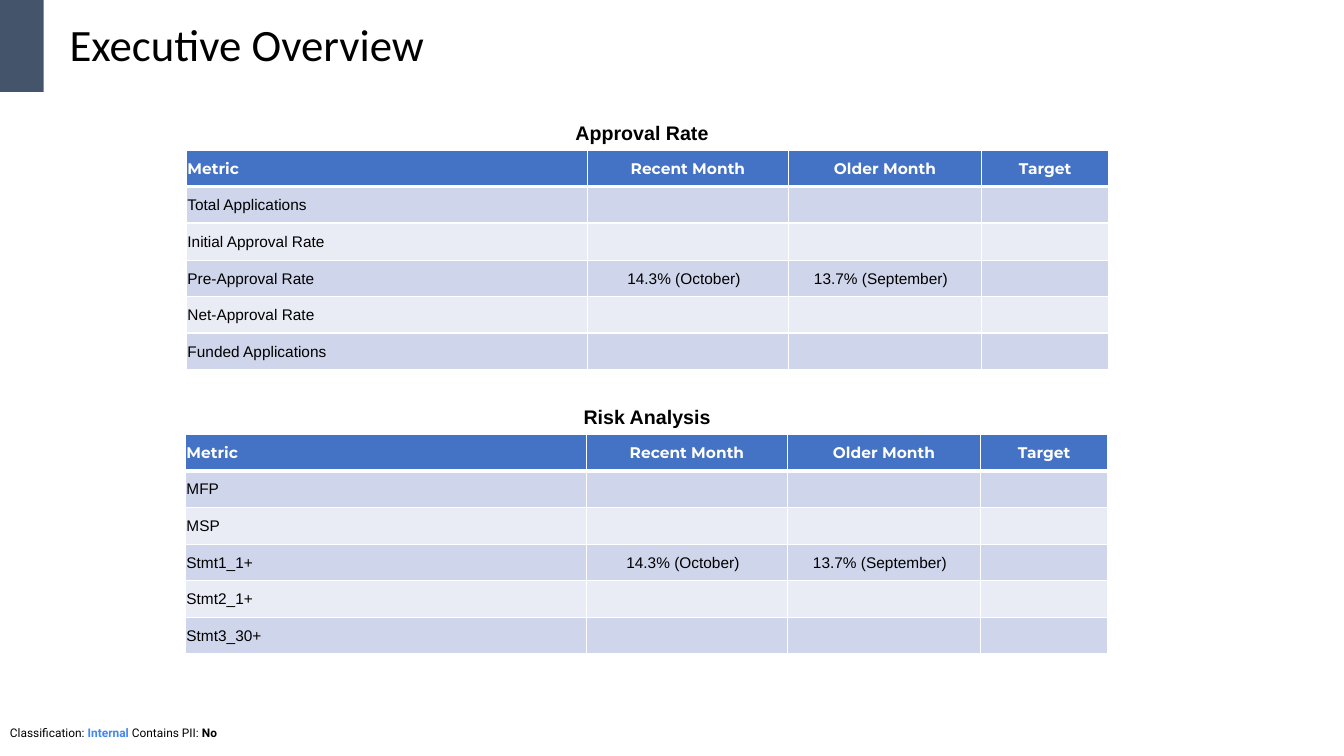
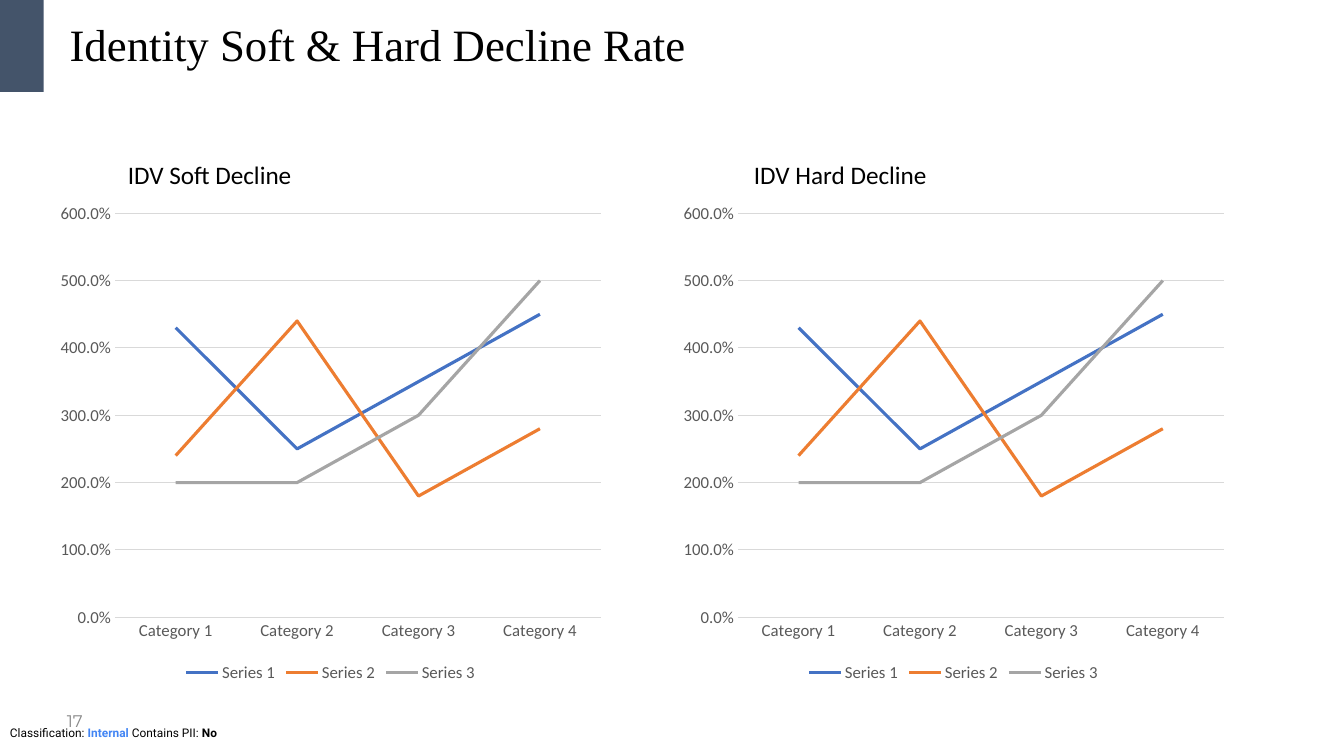
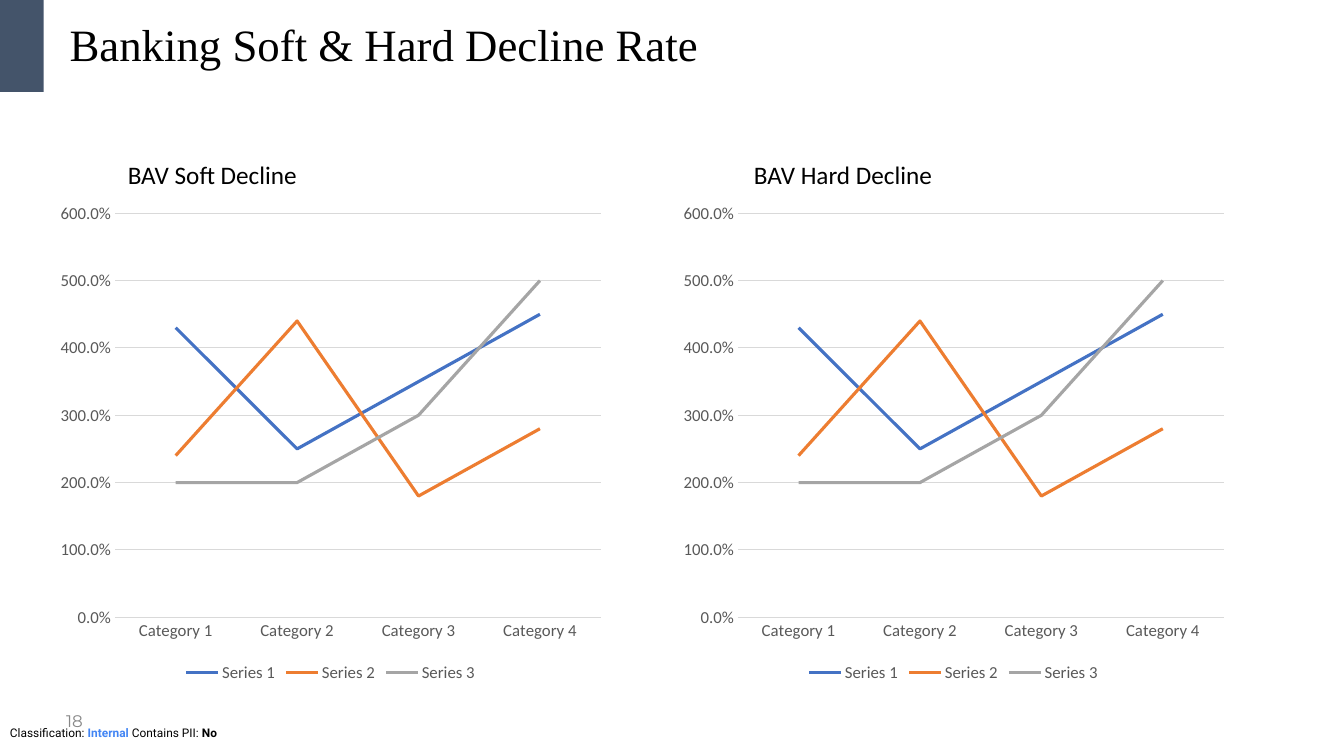
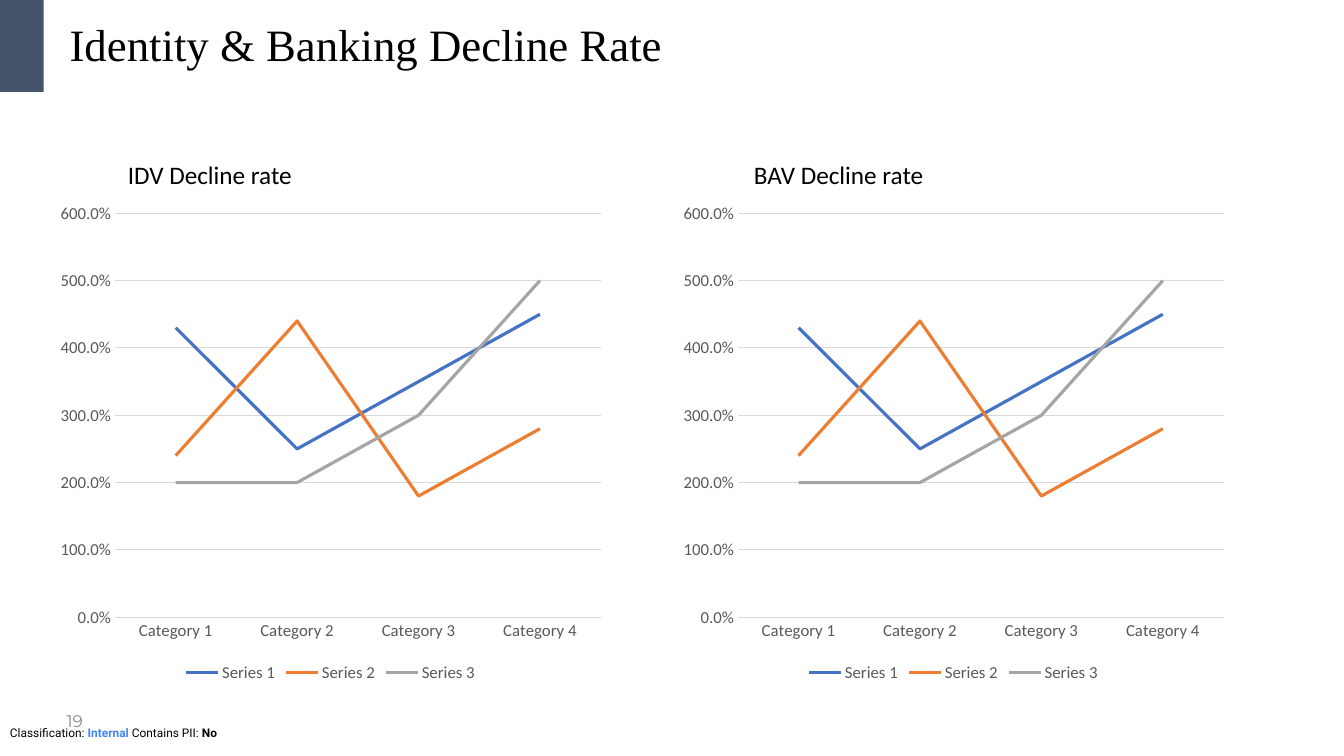
from dataclasses import dataclass
from typing import Optional

from lxml.etree import SubElement
from pptx import Presentation
from pptx.chart.data import CategoryChartData
from pptx.dml.color import RGBColor
from pptx.enum.chart import XL_CHART_TYPE, XL_LEGEND_POSITION, XL_MARKER_STYLE, XL_TICK_MARK
from pptx.enum.shapes import MSO_SHAPE
from pptx.enum.text import MSO_ANCHOR, MSO_AUTO_SIZE, PP_ALIGN
from pptx.oxml.ns import qn
from pptx.util import Pt


@dataclass(frozen=True)
class Theme:
    """Colours, fonts and type sizes of the deck."""

    black: str = "000000"
    white: str = "FFFFFF"
    band: str = "44546A"
    link: str = "4285F4"
    header: str = "4472C4"
    row_dark: str = "CFD5EA"
    row_light: str = "E9EBF5"
    axis: str = "595959"
    grid: str = "D9D9D9"
    number: str = "888888"
    series: tuple[str, ...] = ("4472C4", "ED7D31", "A5A5A5")
    sans: str = "Calibri"
    serif: str = "Times New Roman"
    table_sans: str = "Arial"
    accent_sans: str = "Montserrat"
    footer_sans: str = "Roboto"
    title_size: float = 32
    chart_title_size: float = 18
    table_title_size: float = 14
    label_size: float = 12
    cell_size: float = 11
    footer_size: float = 8.5


@dataclass(frozen=True)
class Box:
    """A rectangle in points."""

    left: float
    top: float
    width: float
    height: float

    def emu(self) -> tuple[Pt, Pt, Pt, Pt]:
        """Return the rectangle as lengths."""
        return Pt(self.left), Pt(self.top), Pt(self.width), Pt(self.height)


@dataclass(frozen=True)
class Style:
    """The look of one text run."""

    font: str
    size: float
    color: str = "000000"
    bold: bool = False


@dataclass(frozen=True)
class MetricTable:
    """A captioned table of metrics."""

    caption: str
    caption_left: float
    left: float
    top: float
    metrics: tuple[str, ...]


@dataclass(frozen=True)
class ChartSlide:
    """A slide with two captioned line charts."""

    title: str
    number: int
    captions: tuple[str, str]


THEME = Theme()
TABLE_HEADS = ("Metric", "Recent Month", "Older Month", "Target")
COLUMN_WIDTHS = (286.6, 143.3, 138.2, 90.7)
ROW_HEIGHTS = (26, 26, 26.6, 26, 26, 26)
VALUE_ROW = 3
MONTH_VALUES = ("14.3% (October)", "13.7% (September)")
TABLES = (
    MetricTable("Approval Rate", 323.3, 133.2, 107.3, (
        "Total Applications", "Initial Approval Rate", "Pre-Approval Rate",
        "Net-Approval Rate", "Funded Applications")),
    MetricTable("Risk Analysis", 326.9, 132.5, 310.3, (
        "MFP", "MSP", "Stmt1_1+", "Stmt2_1+", "Stmt3_30+")),
)
CATEGORIES = tuple(f"Category {i}" for i in range(1, 5))
SERIES = ((4.3, 2.5, 3.5, 4.5), (2.4, 4.4, 1.8, 2.8), (2, 2, 3, 5))
CHART_LEFTS = (35.3, 480.2)
CAPTION_LEFTS = (84.2, 531.4)
CHART_SLIDES = (
    ChartSlide("Identity Soft & Hard Decline Rate", 17, ("IDV Soft Decline", "IDV Hard Decline")),
    ChartSlide("Banking Soft & Hard Decline Rate", 18, ("BAV Soft Decline", "BAV Hard Decline")),
    ChartSlide("Identity & Banking Decline Rate", 19, ("IDV Decline rate", "BAV Decline rate")),
)


def rgb(color: str) -> RGBColor:
    """Turn a hex string into a colour."""
    return RGBColor.from_string(color)


def style_font(font, style: Style) -> None:
    """Apply a style to a font."""
    font.name = style.font
    font.size = Pt(style.size)
    font.bold = style.bold
    font.color.rgb = rgb(style.color)


def add_run(p, text: str, style: Style) -> None:
    """Append a styled run to a paragraph."""
    r = p.add_run()
    r.text = text
    style_font(r.font, style)


def add_text(s, box: Box, runs: list[tuple[str, Style]],
             align: PP_ALIGN = PP_ALIGN.LEFT, anchor: MSO_ANCHOR = MSO_ANCHOR.TOP) -> None:
    """Add a one-paragraph text box."""
    tf = s.shapes.add_textbox(*box.emu()).text_frame
    tf.word_wrap = True
    tf.vertical_anchor = anchor
    p = tf.paragraphs[0]
    p.alignment = align
    for text, style in runs:
        add_run(p, text, style)


def add_base_slide(prs, title: str, font: str):
    """Add a slide with its title, corner band and classification footer."""
    s = prs.slides.add_slide(prs.slide_layouts[5])
    band = s.shapes.add_shape(MSO_SHAPE.RECTANGLE, *Box(0, 0, 31.2, 65.6).emu())
    band.shadow.inherit = False
    band.fill.solid()
    band.fill.fore_color.rgb = rgb(THEME.band)
    band.line.fill.background()

    sp = s.shapes.title
    sp.left, sp.top, sp.width, sp.height = Box(42.5, 7.9, 833, 51.8).emu()
    tf = sp.text_frame
    tf.auto_size = MSO_AUTO_SIZE.NONE
    tf.vertical_anchor = MSO_ANCHOR.MIDDLE
    p = tf.paragraphs[0]
    p.alignment = PP_ALIGN.LEFT
    p.line_spacing = 0.9
    add_run(p, title, Style(font, THEME.title_size))

    plain = Style(THEME.footer_sans, THEME.footer_size)
    bold = Style(THEME.footer_sans, THEME.footer_size, bold=True)
    link = Style(THEME.footer_sans, THEME.footer_size, THEME.link, True)
    add_text(s, Box(0, 514.8, 960, 17.3), [
        ("Classification: ", plain), ("Internal", link), (" Contains PII: ", plain), ("No", bold)])
    return s


def add_borders(cell, top: float, bottom: float) -> None:
    """Draw white borders around a cell."""
    tc_pr = cell._tc.get_or_add_tcPr()
    for side, width in (("L", 1), ("R", 1), ("T", top), ("B", bottom)):
        ln = SubElement(tc_pr, qn(f"a:ln{side}"), w=str(Pt(width)))
        fill = SubElement(ln, qn("a:solidFill"))
        SubElement(fill, qn("a:srgbClr"), val=THEME.white)


def cell_text(table: MetricTable, row: int, col: int) -> Optional[str]:
    """Return the text of a table cell, if it has any."""
    if row == 0:
        return TABLE_HEADS[col]
    if col == 0:
        return table.metrics[row - 1]
    if row == VALUE_ROW and col <= len(MONTH_VALUES):
        return MONTH_VALUES[col - 1]
    return None


def format_cell(cell, row: int, col: int, text: Optional[str]) -> None:
    """Fill, border and letter one table cell."""
    add_borders(cell, 3 if row == 1 else 1, 3 if row == 0 else 1)
    cell.fill.solid()
    band = THEME.row_dark if row % 2 else THEME.row_light
    cell.fill.fore_color.rgb = rgb(band if row else THEME.header)
    cell.vertical_anchor = MSO_ANCHOR.MIDDLE
    cell.margin_left = cell.margin_top = Pt(0.7)
    cell.margin_right = Pt(6.5 if row and col else 0.7)
    cell.margin_bottom = Pt(0)
    if text:
        p = cell.text_frame.paragraphs[0]
        p.alignment = PP_ALIGN.CENTER if col else PP_ALIGN.LEFT
        head = Style(THEME.accent_sans, THEME.cell_size, THEME.white, True)
        add_run(p, text, Style(THEME.table_sans, THEME.cell_size) if row else head)


def add_metric_table(s, table: MetricTable) -> None:
    """Add a metric table and the caption above it."""
    box = Box(table.left, table.top, sum(COLUMN_WIDTHS), sum(ROW_HEIGHTS))
    tbl = s.shapes.add_table(len(ROW_HEIGHTS), len(COLUMN_WIDTHS), *box.emu()).table
    for column, width in zip(tbl.columns, COLUMN_WIDTHS):
        column.width = Pt(width)
    for row, height in enumerate(ROW_HEIGHTS):
        tbl.rows[row].height = Pt(height)
        for col in range(len(COLUMN_WIDTHS)):
            format_cell(tbl.cell(row, col), row, col, cell_text(table, row, col))
    add_text(s, Box(table.caption_left, table.top - 24.5, 270.7, 24.5),
             [(table.caption, Style(THEME.table_sans, THEME.table_title_size, bold=True))],
             PP_ALIGN.CENTER)


def add_line_chart(s, left: float) -> None:
    """Add the three-series line chart."""
    data = CategoryChartData(number_format="0.0%")
    data.categories = CATEGORIES
    for i, values in enumerate(SERIES, 1):
        data.add_series(f"Series {i}", values)
    box = Box(left, 138.2, 401.8, 352.1)
    chart = s.shapes.add_chart(XL_CHART_TYPE.LINE, *box.emu(), data).chart
    label = Style(THEME.sans, THEME.label_size, THEME.axis)
    style_font(chart.font, label)
    chart.has_title = False
    chart.has_legend = True
    chart.legend.position = XL_LEGEND_POSITION.BOTTOM
    chart.legend.include_in_layout = False
    style_font(chart.legend.font, label)

    for axis in (chart.category_axis, chart.value_axis):
        axis.major_tick_mark = axis.minor_tick_mark = XL_TICK_MARK.NONE
        style_font(axis.tick_labels.font, label)
    value_axis = chart.value_axis
    value_axis.minimum_scale, value_axis.maximum_scale, value_axis.major_unit = 0, 6, 1
    value_axis.tick_labels.number_format = "0.0%"
    value_axis.tick_labels.number_format_is_linked = False
    value_axis.format.line.fill.background()
    for line in (chart.category_axis.format.line, value_axis.major_gridlines.format.line):
        line.color.rgb = rgb(THEME.grid)
        line.width = Pt(0.75)

    for series, color in zip(chart.plots[0].series, THEME.series):
        series.smooth = False
        series.marker.style = XL_MARKER_STYLE.NONE
        series.format.line.color.rgb = rgb(color)
        series.format.line.width = Pt(2.25)


def add_chart_slide(prs, content: ChartSlide) -> None:
    """Add a slide with two captioned charts and its number."""
    s = add_base_slide(prs, content.title, THEME.serif)
    add_text(s, Box(35.3, 500.4, 31, 28.8),
             [(str(content.number), Style(THEME.accent_sans, THEME.label_size, THEME.number))],
             PP_ALIGN.RIGHT, MSO_ANCHOR.MIDDLE)
    for left, caption_left, caption in zip(CHART_LEFTS, CAPTION_LEFTS, content.captions):
        add_line_chart(s, left)
        add_text(s, Box(caption_left, 110.2, 274.3, 28.8),
                 [(caption, Style(THEME.sans, THEME.chart_title_size))])


def main() -> None:
    """Build and save the deck."""
    prs = Presentation()
    prs.slide_width, prs.slide_height = Pt(960), Pt(540)
    s = add_base_slide(prs, "Executive Overview", THEME.sans)
    for table in TABLES:
        add_metric_table(s, table)
    for content in CHART_SLIDES:
        add_chart_slide(prs, content)
    prs.save("out.pptx")


if __name__ == "__main__":
    main()
